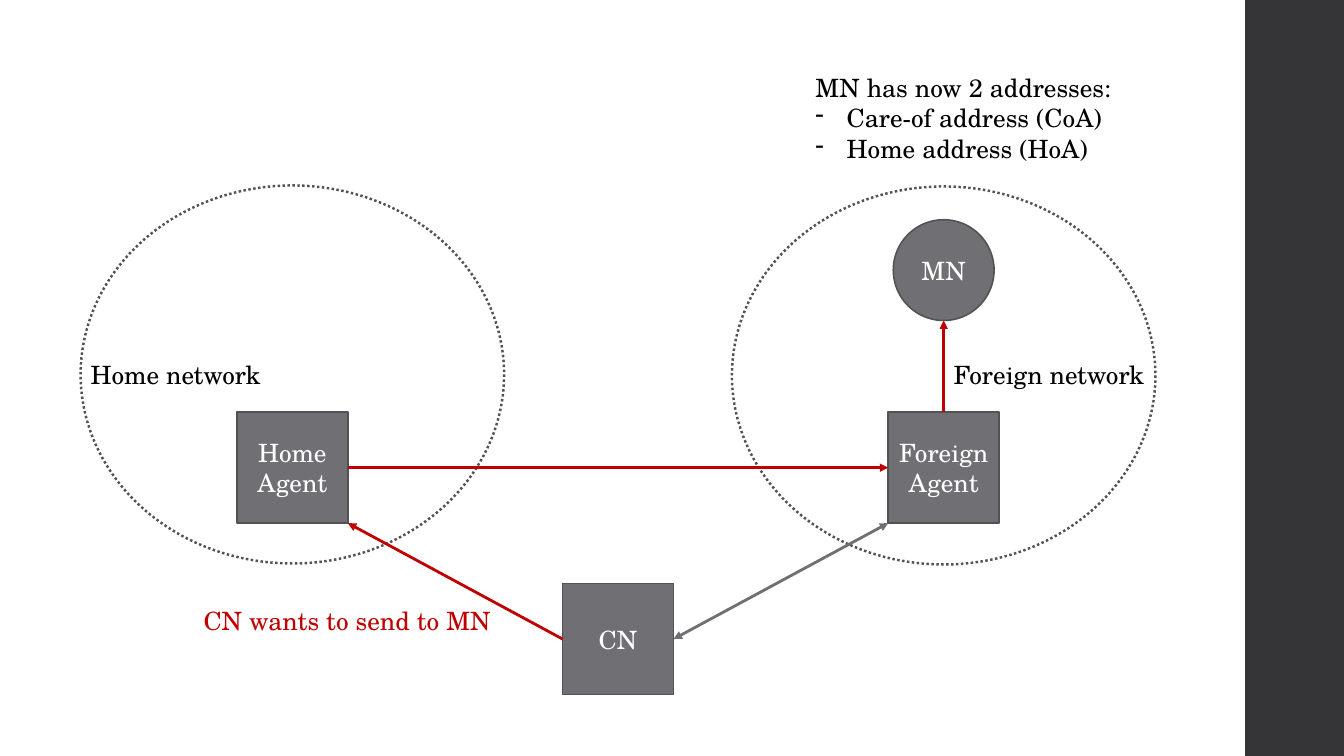
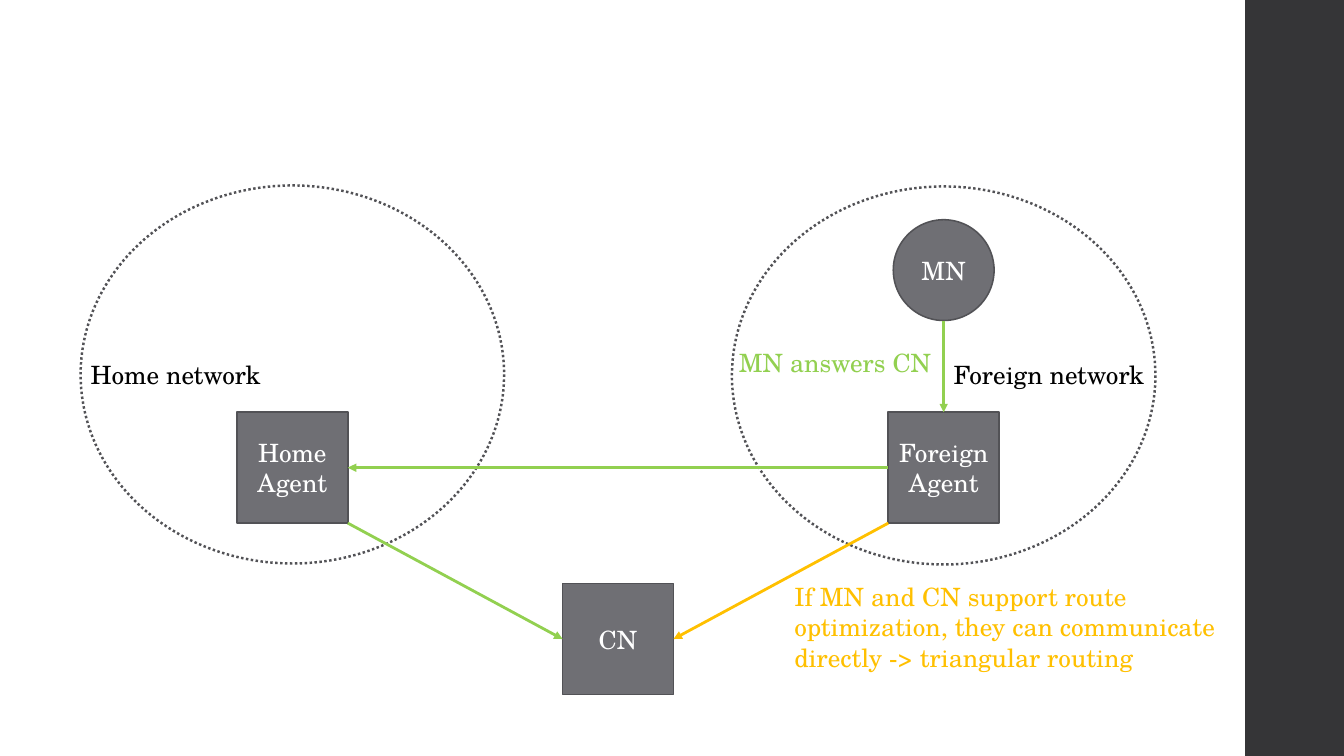
from dataclasses import dataclass, field
from typing import Any

from lxml.etree import SubElement
from pptx import Presentation
from pptx.dml.color import RGBColor
from pptx.enum.dml import MSO_LINE
from pptx.enum.shapes import MSO_CONNECTOR, MSO_SHAPE
from pptx.enum.text import MSO_ANCHOR, MSO_AUTO_SIZE, PP_ALIGN
from pptx.oxml.ns import qn
from pptx.util import Inches, Pt


# Theme: colours, type and line widths
@dataclass(frozen=True)
class Theme:
    band: str = "353537"
    node: str = "6F6F74"
    edge: str = "525256"
    white: str = "FFFFFF"
    black: str = "000000"
    request: str = "C00000"
    answer: str = "92D050"
    direct: str = "FFC000"
    edge_width: float = 1.1
    cloud_width: float = 1.75
    arrow_width: float = 2
    bullet_indent: float = 0.31
    font: dict[str, Any] = field(
        default_factory=lambda: {"name": "TeX Gyre Schola", "size": Pt(18)})


THEME = Theme()


# Elements of the diagram
@dataclass(frozen=True)
class Box:
    x: float
    y: float
    w: float
    h: float

    def lengths(self) -> list[int]:
        return [Inches(v) for v in (self.x, self.y, self.w, self.h)]

    def point(self, fx: float, fy: float) -> tuple[float, float]:
        """Point at the given fractions of the width and height."""
        return self.x + fx * self.w, self.y + fy * self.h


@dataclass(frozen=True)
class Node:
    box: Box
    text: str
    kind: MSO_SHAPE = MSO_SHAPE.RECTANGLE


@dataclass(frozen=True)
class Label:
    box: Box
    text: str
    color: str = THEME.black
    bullets: tuple[str, ...] = ()
    wrap: bool = False


@dataclass(frozen=True)
class Arrow:
    start: tuple[float, float]
    end: tuple[float, float]
    color: str
    both_ends: bool = False


# Drawing functions
def set_format(obj: Any, values: dict[str, Any]) -> None:
    for name, value in values.items():
        setattr(obj, name, value)


def add_text(p: Any, text: str, color: str) -> None:
    r = p.add_run()
    r.text = text
    set_format(r.font, THEME.font)
    r.font.color.rgb = RGBColor.from_string(color)


def add_shape(slide: Any, box: Box, kind: MSO_SHAPE, fill: str | None = None,
              edge: dict[str, Any] | None = None) -> Any:
    sp = slide.shapes.add_shape(kind, *box.lengths())
    sp.shadow.inherit = False
    if fill:
        sp.fill.solid()
        sp.fill.fore_color.rgb = RGBColor.from_string(fill)
    else:
        sp.fill.background()
    if edge:
        sp.line.color.rgb = RGBColor.from_string(THEME.edge)
        set_format(sp.line, edge)
    else:
        sp.line.fill.background()
    return sp


def draw_node(slide: Any, node: Node) -> None:
    sp = add_shape(slide, node.box, node.kind, THEME.node,
                   {"width": Pt(THEME.edge_width)})
    tf = sp.text_frame
    set_format(tf, {"word_wrap": True, "vertical_anchor": MSO_ANCHOR.MIDDLE})
    p = tf.paragraphs[0]
    p.alignment = PP_ALIGN.CENTER
    add_text(p, node.text, THEME.white)


def draw_cloud(slide: Any, box: Box) -> None:
    add_shape(slide, box, MSO_SHAPE.OVAL, edge={
        "width": Pt(THEME.cloud_width), "dash_style": MSO_LINE.ROUND_DOT})


def draw_label(slide: Any, label: Label) -> None:
    tf = slide.shapes.add_textbox(*label.box.lengths()).text_frame
    set_format(tf, {"word_wrap": label.wrap,
                    "auto_size": MSO_AUTO_SIZE.SHAPE_TO_FIT_TEXT})
    add_text(tf.paragraphs[0], label.text, label.color)
    indent = Inches(THEME.bullet_indent)
    for bullet in label.bullets:
        p = tf.add_paragraph()
        add_text(p, bullet, label.color)
        pPr = p._p.get_or_add_pPr()
        pPr.set("marL", str(indent))
        pPr.set("indent", str(-indent))
        SubElement(pPr, qn("a:buChar")).set("char", "-")


def draw_arrow(slide: Any, arrow: Arrow) -> None:
    ends = [Inches(v) for v in (*arrow.start, *arrow.end)]
    line = slide.shapes.add_connector(MSO_CONNECTOR.STRAIGHT, *ends)
    line.line.color.rgb = RGBColor.from_string(arrow.color)
    line.line.width = Pt(THEME.arrow_width)
    spPr = line.element.spPr
    ln = spPr.find(qn("a:ln"))
    for tag in ("a:headEnd", "a:tailEnd") if arrow.both_ends else ("a:tailEnd",):
        SubElement(ln, qn(tag)).set("type", "triangle")
    SubElement(spPr, qn("a:effectLst"))


def add_band(slide: Any) -> None:
    """Place the side band on the layout that the slides share."""
    sp = add_shape(slide, Box(12.35, 0, 1, 7.5), MSO_SHAPE.RECTANGLE, THEME.band)
    slide.slide_layout.shapes.element.insert_element_before(
        sp.element, "p:extLst")


# The network that both slides show
HOME = Box(2.35, 4.09, 1.1, 1.1)
FOREIGN = Box(8.81, 4.09, 1.1, 1.1)
MOBILE = Box(8.86, 2.18, 1, 1)
CORRESPONDENT = Box(5.58, 5.79, 1.1, 1.1)

NODES = [
    Node(HOME, "Home Agent"),
    Node(FOREIGN, "Foreign Agent"),
    Node(MOBILE, "MN", MSO_SHAPE.OVAL),
    Node(CORRESPONDENT, "CN"),
]
CLOUDS = [Box(0.8, 1.84, 4.2, 3.75), Box(7.26, 1.85, 4.2, 3.75)]
NETWORK_LABELS = [
    Label(Box(0.8, 3.52, 1.92, 0.4), "Home network"),
    Label(Box(9.36, 3.52, 2.14, 0.4), "Foreign network"),
]

# Ends of the four links
MN_BOTTOM, FA_TOP = MOBILE.point(0.5, 1), FOREIGN.point(0.5, 0)
HA_RIGHT, FA_LEFT = HOME.point(1, 0.5), FOREIGN.point(0, 0.5)
HA_CORNER, CN_LEFT = HOME.point(1, 1), CORRESPONDENT.point(0, 0.5)
FA_CORNER, CN_RIGHT = FOREIGN.point(0, 1), CORRESPONDENT.point(1, 0.5)

# Arrows and labels of each slide
SLIDES = [
    ([Arrow(FA_CORNER, CN_RIGHT, THEME.node, both_ends=True),
      Arrow(CN_LEFT, HA_CORNER, THEME.request),
      Arrow(HA_RIGHT, FA_LEFT, THEME.request),
      Arrow(FA_TOP, MN_BOTTOM, THEME.request)],
     [Label(Box(7.99, 0.67, 3.17, 1.01), "MN has now 2 addresses:",
            bullets=("Care-of address (CoA)", "Home address (HoA)")),
      Label(Box(1.92, 5.96, 3.08, 0.4), "CN wants to send to MN",
            THEME.request)]),
    ([Arrow(MN_BOTTOM, FA_TOP, THEME.answer),
      Arrow(FA_LEFT, HA_RIGHT, THEME.answer),
      Arrow(HA_CORNER, CN_LEFT, THEME.answer),
      Arrow(FA_CORNER, CN_RIGHT, THEME.direct)],
     [Label(Box(7.23, 3.4, 2.14, 0.4), "MN answers CN", THEME.answer),
      Label(Box(7.78, 5.72, 4.64, 1.01),
            "If MN and CN support route optimization, they can communicate "
            "directly -> triangular routing", THEME.direct, wrap=True)]),
]

# Build the presentation
prs = Presentation()
set_format(prs, {"slide_width": Inches(13.33), "slide_height": Inches(7.5)})
blank = prs.slide_layouts[6]

for number, (arrows, labels) in enumerate(SLIDES):
    slide = prs.slides.add_slide(blank)
    if number == 0:
        add_band(slide)
    for node in NODES:
        draw_node(slide, node)
    for cloud in CLOUDS:
        draw_cloud(slide, cloud)
    for arrow in arrows:
        draw_arrow(slide, arrow)
    for label in NETWORK_LABELS + labels:
        draw_label(slide, label)

prs.save("out.pptx")
